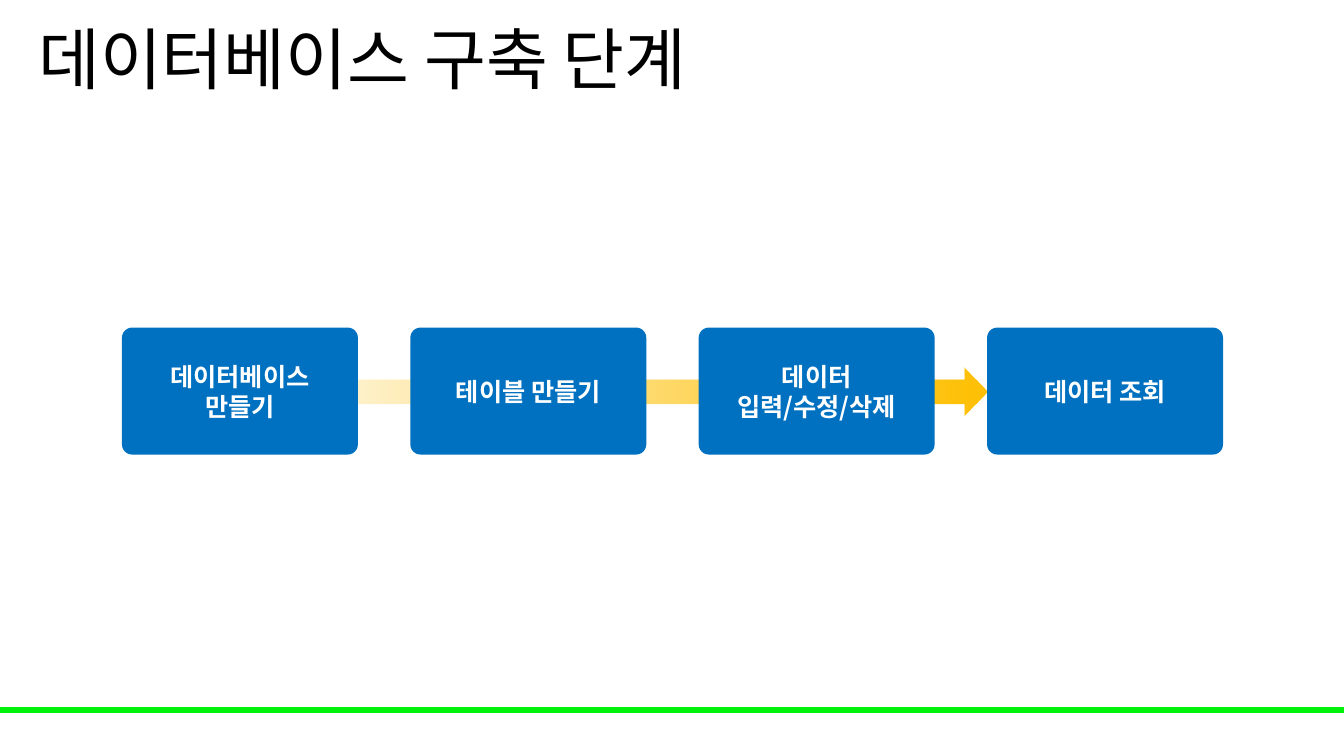
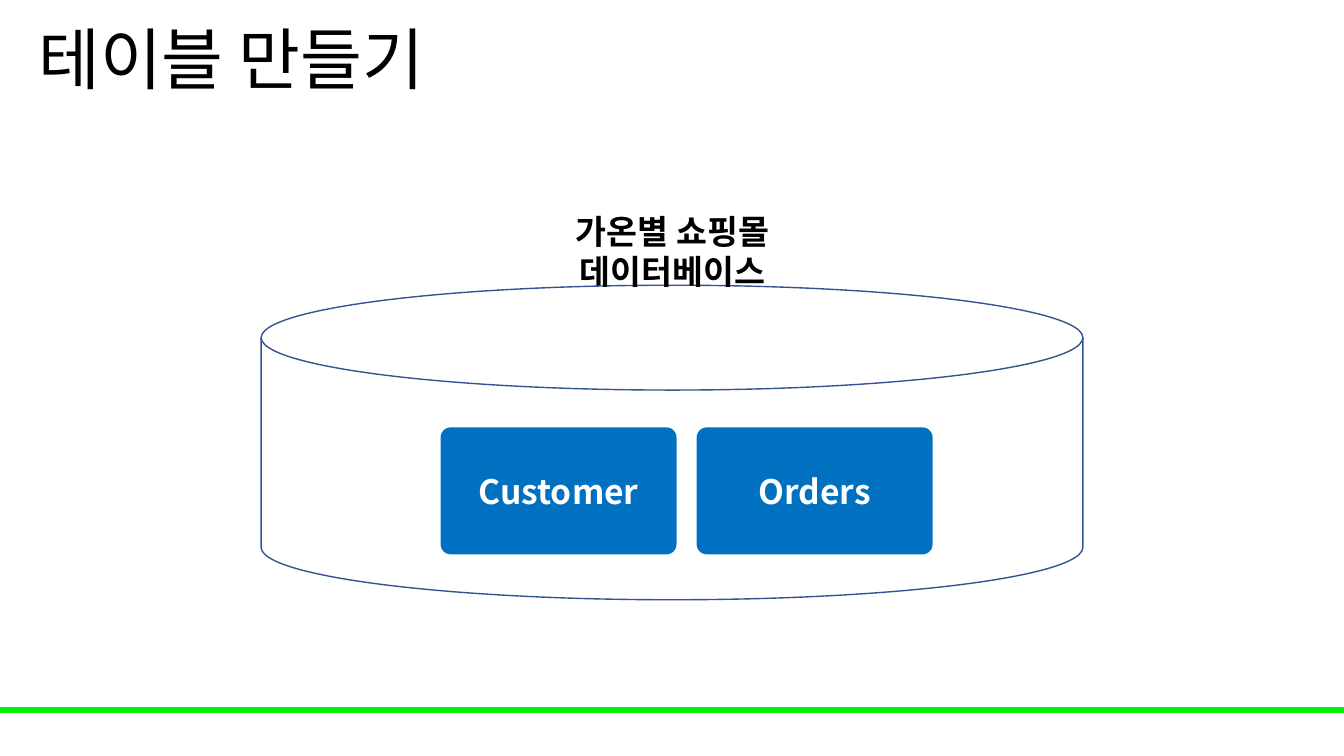
from lxml.etree import SubElement
from pptx import Presentation
from pptx.dml.color import RGBColor
from pptx.enum.shapes import MSO_SHAPE
from pptx.enum.text import MSO_ANCHOR, MSO_AUTO_SIZE, PP_ALIGN
from pptx.oxml.ns import qn
from pptx.util import Inches, Pt

FONT = "Noto Sans CJK KR"
BLACK = RGBColor(0x00, 0x00, 0x00)
WHITE = RGBColor(0xFF, 0xFF, 0xFF)
BLUE = RGBColor(0x00, 0x70, 0xC0)
NAVY = RGBColor(0x32, 0x54, 0x91)
AMBER = RGBColor(0xFF, 0xC0, 0x00)
GREEN = RGBColor(0x00, 0xF2, 0x09)

STEPS_TITLE = "데이터베이스 구축 단계"
STEPS = ["데이터베이스\n만들기", "테이블 만들기", "데이터\n입력/수정/삭제", "데이터 조회"]
TABLES_TITLE = "테이블 만들기"
DATABASE_NAME = "가온별 쇼핑몰 데이터베이스"
TABLES = ["Customer", "Orders"]

CARD_WIDTH, CARD_HEIGHT = 2.34, 1.26


def place(shape, left, top, width, height):
    shape.left, shape.top = Inches(left), Inches(top)
    shape.width, shape.height = Inches(width), Inches(height)


def write(shape, text, size, color, align, bold=False, line_spacing=None):
    """Fill a shape with text, using FONT for Latin and Korean letters alike."""
    frame = shape.text_frame
    frame.text = text
    frame.word_wrap = True
    frame.auto_size = MSO_AUTO_SIZE.NONE
    for para in frame.paragraphs:
        para.alignment = align
        para.line_spacing = line_spacing
        for span in para.runs:
            span.font.name = FONT
            span.font.size = Pt(size)
            span.font.bold = bold
            span.font.color.rgb = color
    for properties in shape.element.iter(qn("a:rPr")):
        east_asian = SubElement(properties, qn("a:ea"), typeface=FONT)
        properties.find(qn("a:latin")).addnext(east_asian)


def add_shape(slide, kind, left, top, width, height, fill=None, line=None):
    shape = slide.shapes.add_shape(
        kind, Inches(left), Inches(top), Inches(width), Inches(height))
    shape.shadow.inherit = False
    if fill is None:
        shape.fill.background()
    else:
        shape.fill.solid()
        shape.fill.fore_color.rgb = fill
    if line is None:
        shape.line.fill.background()
    else:
        shape.line.color.rgb = line
        shape.line.width = Pt(1)
    return shape


def add_cards(slide, labels, left, top, gap, size):
    """Place a row of equal rounded cards from left to right."""
    for index, label in enumerate(labels):
        card = add_shape(slide, MSO_SHAPE.ROUNDED_RECTANGLE,
                         left + index * (CARD_WIDTH + gap), top,
                         CARD_WIDTH, CARD_HEIGHT, fill=BLUE)
        card.adjustments[0] = 0.08
        card.text_frame.vertical_anchor = MSO_ANCHOR.MIDDLE
        write(card, label, size, WHITE, PP_ALIGN.CENTER, bold=True)


def add_titled_slide(deck, layout, title):
    slide = deck.slides.add_slide(layout)
    write(slide.shapes.title, title, 48, BLACK, PP_ALIGN.LEFT, line_spacing=0.9)
    return slide


def add_fading_arrow(slide, left, top, width, height):
    arrow = add_shape(slide, MSO_SHAPE.RIGHT_ARROW, left, top, width, height)
    arrow.fill.gradient()
    arrow.fill.gradient_angle = 0
    for stop in arrow.fill.gradient_stops:
        stop.color.rgb = AMBER
    first_color = next(arrow.element.iter(qn("a:srgbClr")))
    SubElement(first_color, qn("a:alpha"), val="20000")


def build_steps(deck, layout):
    slide = add_titled_slide(deck, layout, STEPS_TITLE)
    add_fading_arrow(slide, 3.43, 3.65, 6.36, 0.47)
    add_cards(slide, STEPS, left=1.21, top=3.25, gap=0.52, size=18)
    return slide


def build_tables(deck, layout):
    slide = add_titled_slide(deck, layout, TABLES_TITLE)
    add_shape(slide, MSO_SHAPE.FLOWCHART_MAGNETIC_DISK, 2.59, 2.83, 8.15, 3.12, line=NAVY)
    add_cards(slide, TABLES, left=4.37, top=4.24, gap=0.2, size=24)
    label = slide.shapes.add_textbox(Inches(4.74), Inches(2.04), Inches(3.86), Inches(0.9))
    write(label, DATABASE_NAME, 24, BLACK, PP_ALIGN.CENTER, bold=True)


def main():
    deck = Presentation()
    deck.slide_width, deck.slide_height = Inches(13.33), Inches(7.5)
    layout = deck.slide_layouts.get_by_name("Title Only")
    place(layout.placeholders[0], 0.28, 0, 11.5, 1.25)

    steps_slide = build_steps(deck, layout)
    build_tables(deck, layout)

    # Shapes can only be created on a slide, so the shared band is moved to the layout.
    band = add_shape(steps_slide, MSO_SHAPE.RECTANGLE, 0, 7.02, 13.33, 0.05, GREEN, GREEN)
    layout.shapes.element.append(band.element)

    deck.save("out.pptx")


if __name__ == "__main__":
    main()
